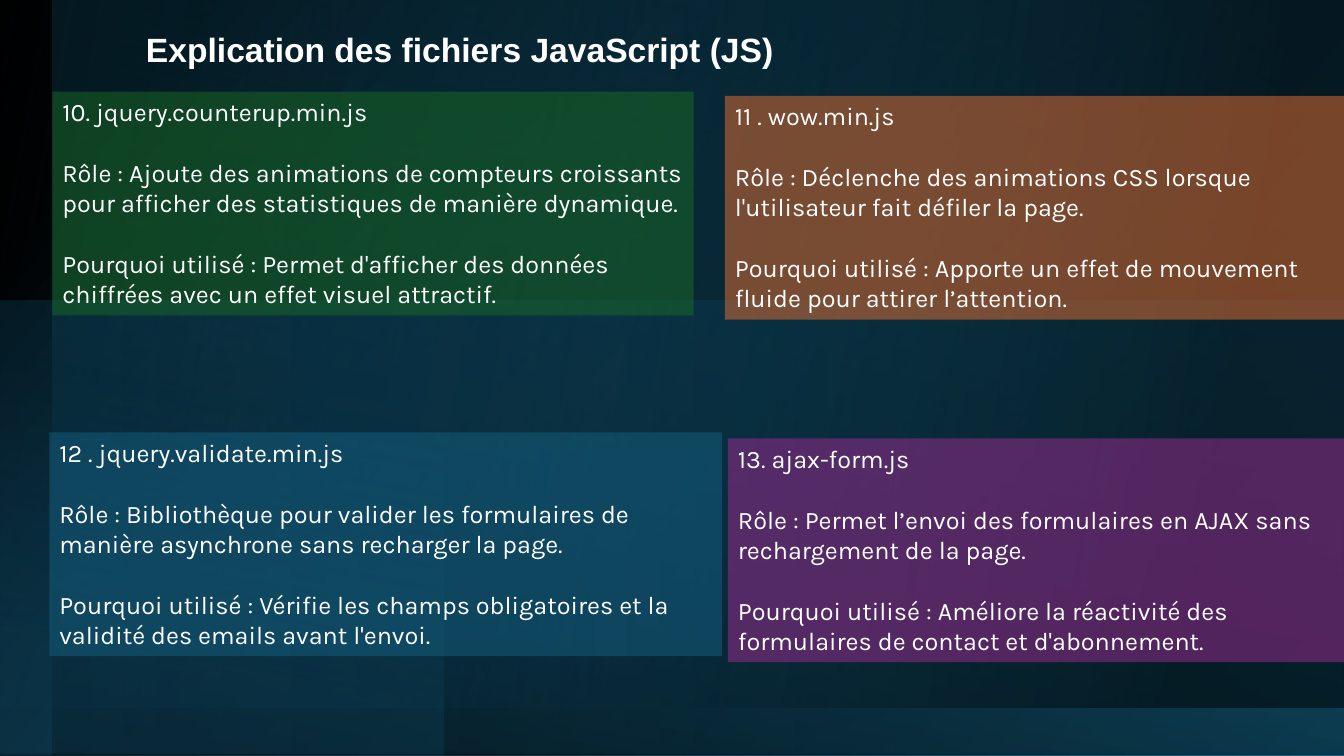
from lxml.etree import SubElement
from pptx import Presentation
from pptx.dml.color import RGBColor
from pptx.enum.shapes import MSO_SHAPE
from pptx.enum.text import MSO_ANCHOR, PP_ALIGN
from pptx.oxml.ns import qn
from pptx.util import Inches, Pt

WIDTH, HEIGHT = 13.33, 7.5
WHITE = "FFFFFF"

presentation = Presentation()
presentation.slide_width = Inches(WIDTH)
presentation.slide_height = Inches(HEIGHT)
slide = presentation.slides.add_slide(presentation.slide_layouts[6])


def add_panel(left, top, width, height, stops, angle=None):
    """Add a rectangle; stops are (position, colour, opacity), one stop is a solid fill."""
    shape = slide.shapes.add_shape(
        MSO_SHAPE.RECTANGLE, Inches(left), Inches(top), Inches(width), Inches(height))
    shape.shadow.inherit = False
    shape.line.fill.background()
    if angle is None:
        shape.fill.solid()
        stop_parents = [shape.element.spPr.find(qn("a:solidFill"))]
    else:
        shape.fill.gradient()
        gradient = shape.element.spPr.find(qn("a:gradFill"))
        gradient.find(qn("a:lin")).set("ang", str(angle * 60000))
        stop_list = gradient.find(qn("a:gsLst"))
        stop_list.clear()
        stop_parents = [SubElement(stop_list, qn("a:gs"), pos=str(position * 1000))
                        for position, _, _ in stops]
        shape.element.spPr.find(qn("a:xfrm")).set("flipH", "1")
    for parent, (_, colour, opacity) in zip(stop_parents, stops):
        colour_element = SubElement(parent, qn("a:srgbClr"), val=colour)
        if opacity < 100:
            SubElement(colour_element, qn("a:alpha"), val=str(opacity * 1000))
    return shape


def write_text(shape, paragraphs, font="Karla", size=18, bold=False, gap=0):
    frame = shape.text_frame
    frame.word_wrap = True
    frame.vertical_anchor = MSO_ANCHOR.TOP
    for index, text in enumerate(paragraphs):
        paragraph = frame.paragraphs[0] if index == 0 else frame.add_paragraph()
        paragraph.alignment = PP_ALIGN.LEFT
        if index:
            paragraph.space_before = Pt(gap)
        run = paragraph.add_run()
        run.text = text
        run.font.name = font
        run.font.size = Pt(size)
        run.font.bold = bold
        run.font.color.rgb = RGBColor.from_string(WHITE)


# Background: white base under layered gradients
add_panel(0, 0, WIDTH, HEIGHT, [(0, WHITE, 100)])
background_layers = [
    (0, 0, WIDTH, HEIGHT, [(10, "000000", 100), (100, "156082", 100)], 140),
    (0.52, 0.01, 12.81, 7.48, [(0, "000000", 72), (100, "156082", 20)], 260),
    (0, 0, WIDTH, 7.02, [(12, "000000", 63), (100, "104862", 0)], 350),
    (0, 2.98, WIDTH, 4.5, [(30, "156082", 13), (100, "156082", 24)], 0),
    (0, 0.49, 4.4, 7.01, [(15, "104862", 29), (52, "104862", 0)], 80),
]
for layer in background_layers:
    panel = add_panel(*layer)
panel.rotation = 180

# Title
title = slide.shapes.add_textbox(Inches(1.35), Inches(0.24), Inches(10.63), Inches(0.59))
write_text(title, ["Explication des fichiers JavaScript (JS)"], font="Arial", size=24, bold=True)

# One card per script file
CARD_HEIGHT = 2.22
LINE_GAP = 21.7
cards = [
    (0.52, 0.91, 6.36, "196B24", [
        "10. jquery.counterup.min.js",
        "Rôle : Ajoute des animations de compteurs croissants pour afficher des "
        "statistiques de manière dynamique.",
        "Pourquoi utilisé : Permet d'afficher des données chiffrées avec un effet "
        "visuel attractif."]),
    (7.19, 0.95, 6.15, "E97132", [
        "11 . wow.min.js",
        "Rôle : Déclenche des animations CSS lorsque l'utilisateur fait défiler la page.",
        "Pourquoi utilisé : Apporte un effet de mouvement fluide pour attirer l’attention."]),
    (0.49, 4.29, 6.67, "156082", [
        "12 . jquery.validate.min.js",
        "Rôle : Bibliothèque pour valider les formulaires de manière asynchrone sans "
        "recharger la page.",
        "Pourquoi utilisé : Vérifie les champs obligatoires et la validité des emails "
        "avant l'envoi."]),
    (7.22, 4.35, 6.15, "A02B93", [
        "13. ajax-form.js",
        "Rôle : Permet l’envoi des formulaires en AJAX sans rechargement de la page.",
        "Pourquoi utilisé : Améliore la réactivité des formulaires de contact et "
        "d'abonnement."]),
]
for left, top, width, colour, paragraphs in cards:
    card = add_panel(left, top, width, CARD_HEIGHT, [(0, colour, 50)])
    write_text(card, paragraphs, gap=LINE_GAP)

presentation.save("out.pptx")
